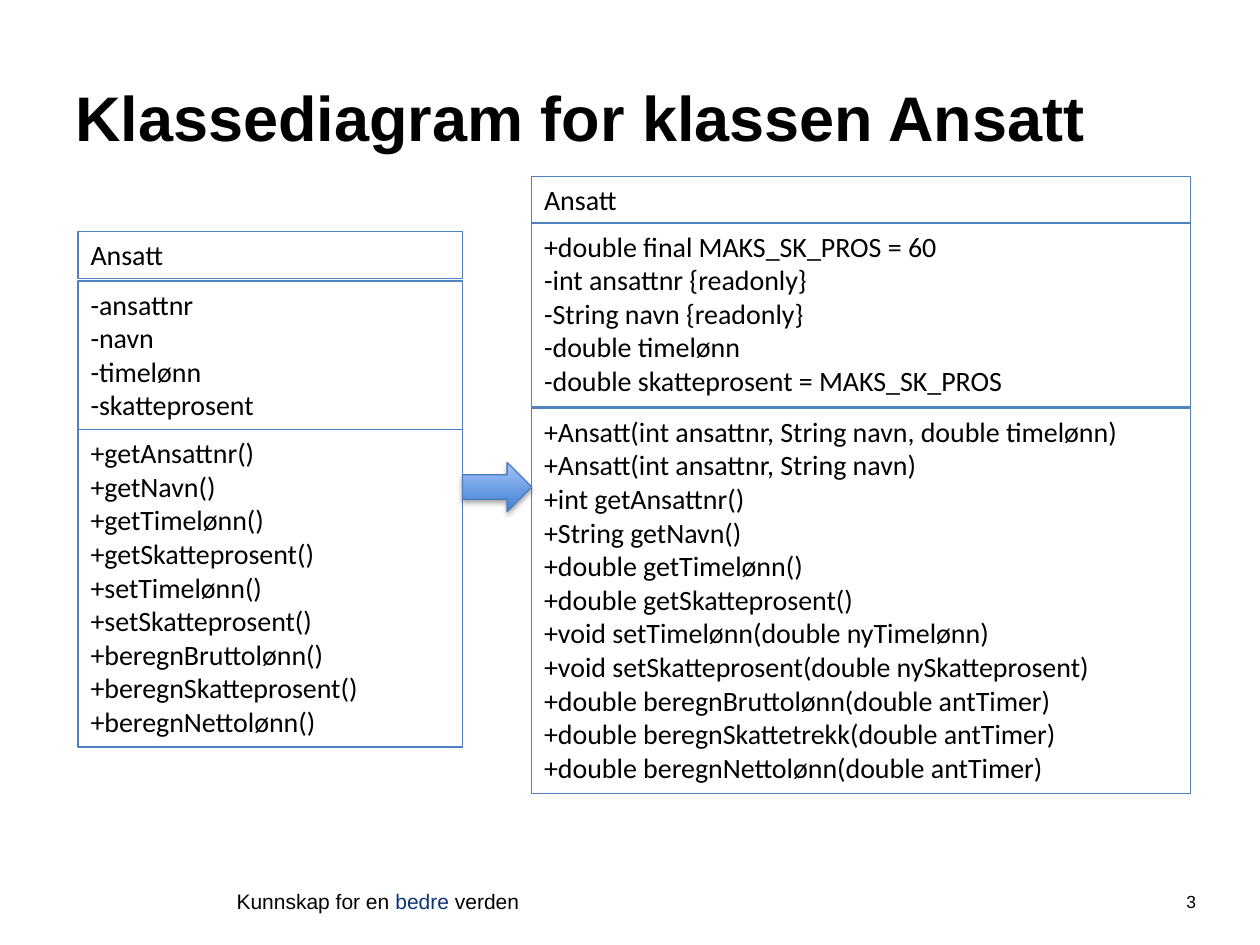
from dataclasses import dataclass
from lxml import etree
from pptx import Presentation
from pptx import util as u
from pptx.dml.color import RGBColor
from pptx.enum import shapes, text
from pptx.oxml.ns import qn

PX = 9144  # 100 px to the inch


@dataclass
class Theme:
    sans: str = "Arial"
    body: str = "Calibri"
    ink: str = "000000"
    navy: str = "0D3475"
    edge: str = "4F81BD"
    rim: str = "4B7EBC"
    deep: str = "3F80CE"
    pale: str = "A4C4FF"
    title: int = 36
    code: int = 16
    foot: int = 12
    page: int = 10
    line: float = 0.75


look = Theme()
rgb = RGBColor.from_string

deck = Presentation()
deck.slide_width, deck.slide_height = 1000 * PX, 750 * PX
slide = deck.slides.add_slide(deck.slide_layouts[6])


def write(spot, lines, size, font, bold=False):
    """Add a text box; each line is a list of (words, colour) runs."""
    box = slide.shapes.add_textbox(*[n * PX for n in spot])
    frame = box.text_frame
    frame.word_wrap = True
    for i, line in enumerate(lines):
        para = frame.add_paragraph() if i else frame.paragraphs[0]
        for words, ink in line:
            run = para.add_run()
            run.text = words
            run.font.name = font
            run.font.size = u.Pt(size)
            run.font.bold = bold
            run.font.color.rgb = rgb(ink)
    return box


# Footer, page number and title
write((178, 700, 417, 30),
      [[("Kunnskap for en ", look.ink), ("bedre ", look.navy),
        ("verden", look.ink)]], look.foot, look.sans)
page = write((927, 702, 37, 40), [[("3", look.ink)]], look.page, look.sans)
page.text_frame.paragraphs[0].alignment = text.PP_ALIGN.CENTER
title = write((50, 30, 900, 125),
              [[("Klassediagram for klassen Ansatt", look.ink)]],
              look.title, look.sans, True)
title.text_frame.vertical_anchor = text.MSO_ANCHOR.MIDDLE

# Class diagrams: left, width, then (top, height, lines) per compartment
brief = (62, 305, [
    (184, 37, ["Ansatt"]),
    (223, 118, ["-ansattnr", "-navn", "-timelønn", "-skatteprosent"]),
    (341, 252, ["+getAnsattnr()", "+getNavn()", "+getTimelønn()",
                "+getSkatteprosent()", "+setTimelønn()",
                "+setSkatteprosent()", "+beregnBruttolønn()",
                "+beregnSkatteprosent()", "+beregnNettolønn()"]),
])
full = (422, 523, [
    (140, 37, ["Ansatt"]),
    (177, 146, ["+double final MAKS_SK_PROS = 60",
                "-int ansattnr {readonly}",
                "-String navn {readonly}",
                "-double timelønn",
                "-double skatteprosent = MAKS_SK_PROS"]),
    (324, 306, ["+Ansatt(int ansattnr, String navn, double timelønn)",
                "+Ansatt(int ansattnr, String navn)",
                "+int getAnsattnr()",
                "+String getNavn()",
                "+double getTimelønn()",
                "+double getSkatteprosent()",
                "+void setTimelønn(double nyTimelønn)",
                "+void setSkatteprosent(double nySkatteprosent)",
                "+double beregnBruttolønn(double antTimer)",
                "+double beregnSkattetrekk(double antTimer)",
                "+double beregnNettolønn(double antTimer)"]),
])
for left, width, parts in (brief, full):
    for top, height, rows in parts:
        box = write((left, top, width, height),
                    [[(row, look.ink)] for row in rows],
                    look.code, look.body)
        box.line.color.rgb = rgb(look.edge)
        box.line.width = u.Pt(look.line)

# Arrow from the brief diagram to the full one
arrow = slide.shapes.add_shape(shapes.MSO_SHAPE.RIGHT_ARROW,
                               367 * PX, 367 * PX, 55 * PX, 39 * PX)
arrow.fill.gradient()
arrow.fill.gradient_angle = 90
for stop, place, ink in zip(arrow.fill.gradient_stops, (0, 1),
                            (look.deep, look.pale)):
    stop.position = place
    stop.color.rgb = rgb(ink)
arrow.line.color.rgb = rgb(look.rim)
arrow.line.width = u.Pt(look.line)

# Soft shadow straight below the arrow
arrow.shadow.inherit = False
glow = etree.SubElement(arrow.element.spPr.find(qn("a:effectLst")),
                        qn("a:outerShdw"), blurRad=str(u.Pt(3.1)),
                        dist=str(u.Pt(1.8)), dir="5400000", rotWithShape="0")
shade = etree.SubElement(glow, qn("a:srgbClr"), val=look.ink)
etree.SubElement(shade, qn("a:alpha"), val="35000")

deck.save("out.pptx")
